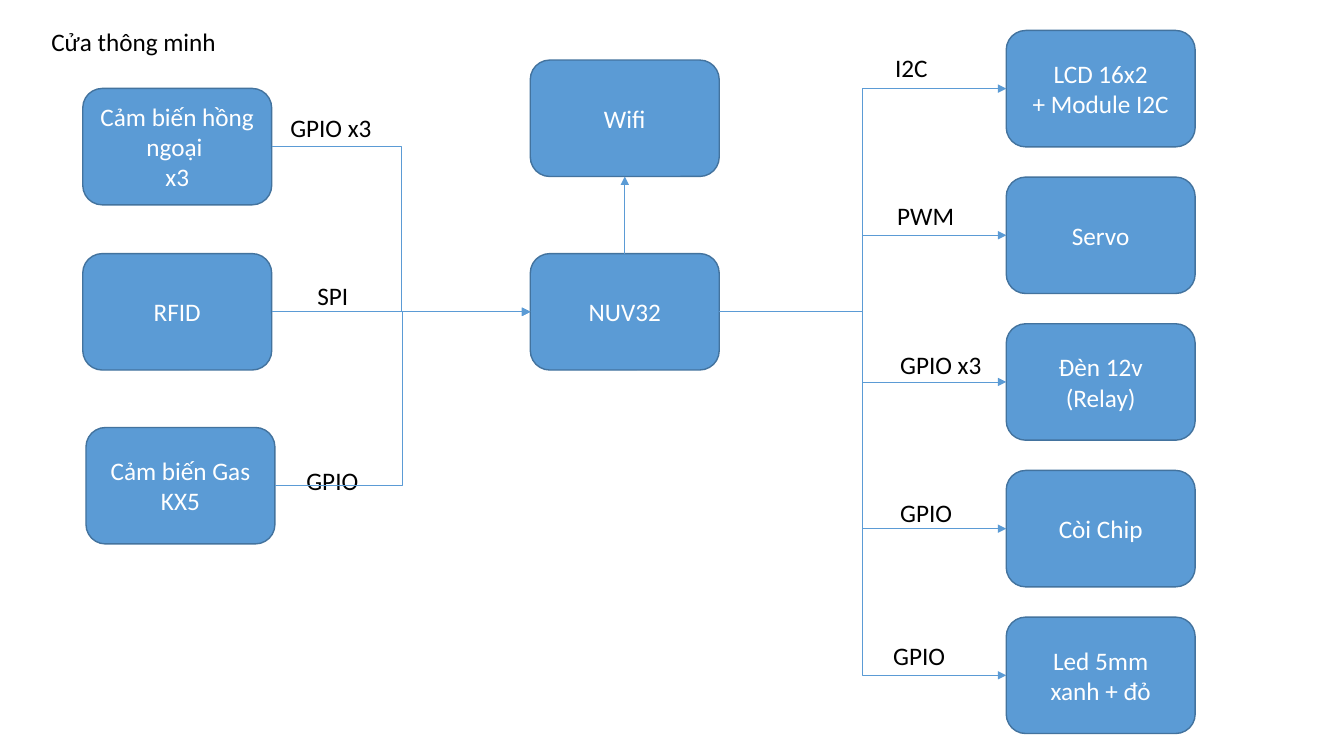
"""Build the block diagram of a smart door driven by a microcontroller."""
from dataclasses import dataclass

from lxml.etree import SubElement
from pptx import Presentation
from pptx.dml.color import RGBColor
from pptx.enum.shapes import MSO_CONNECTOR, MSO_SHAPE
from pptx.enum.text import MSO_ANCHOR, MSO_AUTO_SIZE, PP_ALIGN
from pptx.oxml.ns import qn
from pptx.shapes.autoshape import Shape
from pptx.shapes.shapetree import SlideShapes
from pptx.text.text import TextFrame
from pptx.util import Inches, Pt

BLUE = RGBColor(0x5B, 0x9B, 0xD5)
NAVY = RGBColor(0x43, 0x73, 0x9E)
WHITE = RGBColor(0xFF, 0xFF, 0xFF)
BLACK = RGBColor(0x00, 0x00, 0x00)
WIDE, HIGH = Inches(13.33), Inches(7.5)
BOX_W, BOX_H = 14.06, 15.4
LABEL_H = 5.33
LEFT, MID, RIGHT = 6.16, 39.46, 74.87
CORE_Y = 33.55
FIRST_Y, PITCH = 4.03, 19.4
TOP_SIDE, LEFT_SIDE, BOTTOM_SIDE, RIGHT_SIDE = range(4)


@dataclass(frozen=True)
class Box:
    text: str
    left: float
    top: float


@dataclass(frozen=True)
class Label:
    text: str
    left: float
    top: float
    width: float


CORE = Box("NUV32", MID, CORE_Y)
WIFI = Box("Wifi", MID, 7.95)
INPUTS = [
    Box("Cảm biến hồng ngoại \vx3", LEFT, 11.7),
    Box("RFID", LEFT, CORE_Y),
    Box("Cảm biến Gas\nKX5", LEFT + 0.24, 56.55),
]
OUTPUTS = [
    Box(text, RIGHT, FIRST_Y + row * PITCH)
    for row, text in enumerate(
        ["LCD 16x2\n+ Module I2C", "Servo", "Đèn 12v (Relay)",
         "Còi Chip", "Led 5mm\nxanh + đỏ"])
]
LABELS = [
    Label("Cửa thông minh", 3.08, 2.88, 13.95),
    Label("GPIO x3", 20.86, 14.22, 7.65),
    Label("SPI", 22.88, 36.4, 3.83),
    Label("GPIO", 22.06, 60.93, 5.4),
    Label("I2C", 65.87, 6.27, 3.98),
    Label("PWM", 66.02, 25.87, 5.78),
    Label("GPIO x3", 66.24, 45.52, 7.65),
    Label("GPIO", 66.24, 65.07, 5.4),
    Label("GPIO", 65.72, 84, 5.4),
]


def across(share: float) -> int:
    return round(WIDE * share / 100)


def down(share: float) -> int:
    return round(HIGH * share / 100)


def write(frame: TextFrame, text: str, color: RGBColor, align: PP_ALIGN) -> None:
    for row, line in enumerate(text.split("\n")):
        para = frame.add_paragraph() if row else frame.paragraphs[0]
        para.alignment = align
        for part, words in enumerate(line.split("\v")):
            if part:
                para.add_line_break()
            run = para.add_run()
            run.text = words
            run.font.name = "Calibri"
            run.font.size = Pt(18)
            run.font.color.rgb = color


def draw_box(shapes: SlideShapes, box: Box) -> Shape:
    shape = shapes.add_shape(
        MSO_SHAPE.ROUNDED_RECTANGLE, across(box.left), down(box.top),
        across(BOX_W), down(BOX_H))
    shape.shadow.inherit = False
    shape.fill.solid()
    shape.fill.fore_color.rgb = BLUE
    shape.line.color.rgb = NAVY
    shape.line.width = Pt(1)
    frame = shape.text_frame
    frame.word_wrap = True
    frame.vertical_anchor = MSO_ANCHOR.MIDDLE
    write(frame, box.text, WHITE, PP_ALIGN.CENTER)
    return shape


def draw_label(shapes: SlideShapes, label: Label) -> None:
    frame = shapes.add_textbox(
        across(label.left), down(label.top),
        across(label.width), down(LABEL_H)).text_frame
    frame.word_wrap = False
    frame.auto_size = MSO_AUTO_SIZE.SHAPE_TO_FIT_TEXT
    write(frame, label.text, BLACK, PP_ALIGN.LEFT)


def draw_link(shapes: SlideShapes, start: Shape, end: Shape,
              kind: MSO_CONNECTOR, out: int = RIGHT_SIDE,
              into: int = LEFT_SIDE) -> None:
    link = shapes.add_connector(kind, 0, 0, 0, 0)
    link.begin_connect(start, out)
    link.end_connect(end, into)
    link.line.color.rgb = BLUE
    link.line.width = Pt(0.5)
    props = link.element.spPr
    SubElement(props.find(qn("a:ln")), qn("a:tailEnd"), type="triangle")
    SubElement(props, qn("a:effectLst"))


def main() -> None:
    deck = Presentation()
    deck.slide_width, deck.slide_height = WIDE, HIGH
    shapes = deck.slides.add_slide(deck.slide_layouts[6]).shapes
    core = draw_box(shapes, CORE)
    wifi = draw_box(shapes, WIFI)
    inputs = [draw_box(shapes, box) for box in INPUTS]
    outputs = [draw_box(shapes, box) for box in OUTPUTS]
    for label in LABELS:
        draw_label(shapes, label)
    for shape in inputs:
        level = shape.top == core.top
        kind = MSO_CONNECTOR.STRAIGHT if level else MSO_CONNECTOR.ELBOW
        draw_link(shapes, shape, core, kind)
    for shape in outputs:
        draw_link(shapes, core, shape, MSO_CONNECTOR.ELBOW)
    draw_link(shapes, core, wifi, MSO_CONNECTOR.STRAIGHT, TOP_SIDE, BOTTOM_SIDE)
    deck.save("out.pptx")


if __name__ == "__main__":
    main()
